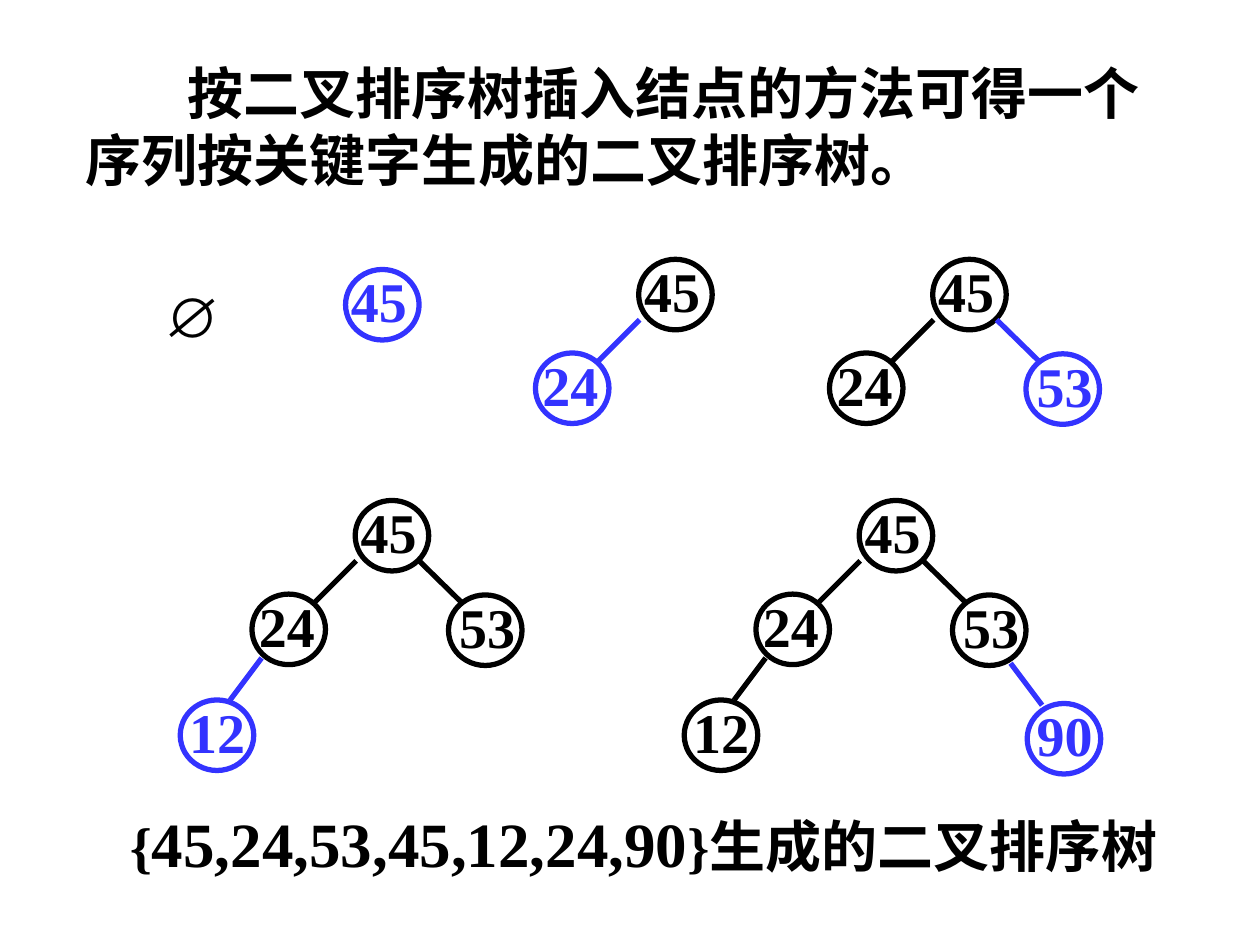
from dataclasses import dataclass

from lxml.etree import SubElement
from pptx import Presentation
from pptx.dml.color import RGBColor
from pptx.enum.shapes import MSO_CONNECTOR as Connector, MSO_SHAPE as Shape
from pptx.enum.text import MSO_AUTO_SIZE as AutoSize, PP_ALIGN as Align
from pptx.oxml.ns import qn
from pptx.util import Pt


@dataclass(frozen=True)
class Theme:
    ink: RGBColor = RGBColor(0x00, 0x00, 0x00)
    added: RGBColor = RGBColor(0x33, 0x33, 0xFF)
    font: str = "Times New Roman"
    symbol_font: str = "Arial"
    body: int = 32
    sequence: int = 36
    stroke: int = 3


THEME = Theme()

INTRO = "按二叉排序树插入结点的方法可得一个序列按关键字生成的二叉排序树。"
CAPTION = [
    ("{", THEME.body),
    ("45,24,53,45,12,24,90", THEME.sequence),
    ("}生成的二叉排序树", THEME.body),
]

NODE_WIDTH, NODE_HEIGHT = 42, 40.3
LABEL_RISE, LABEL_HEIGHT = 5, 46
NODES = {
    "45": {"offset": (0, 0), "label": (-5, 48.2)},
    "24": {"offset": (-59, 53.5), "label": (-7, 54), "edge": (0.5, 34.5, -23.5, 58.5)},
    "53": {"offset": (53.3, 54), "label": (-2, 48.2), "edge": (36.5, 34.5, 61, 58.5)},
    "12": {"offset": (-100, 114), "label": (-6, 54), "edge": (-53.5, 90, -71.5, 114)},
    "90": {"offset": (96, 116), "label": (-8.5, 59.8), "edge": (86.5, 93, 104.5, 117)},
}
INSERTED = list(NODES)
TREE_ROOTS = [(197.5, 154), (365, 148.2), (533, 148.2), (203, 286), (491, 286)]


def add_text(page, frame, spans, color=THEME.ink, font=THEME.font,
             align=Align.CENTER, wrap=True, indent=0):
    box = page.shapes.add_textbox(*map(Pt, frame))
    box.text_frame.word_wrap = wrap
    box.text_frame.auto_size = AutoSize.SHAPE_TO_FIT_TEXT
    para = box.text_frame.paragraphs[0]
    para.alignment = align
    if indent:
        para._p.get_or_add_pPr().set("indent", str(Pt(indent)))
    para.font.name = font
    para.font.bold = True
    para.font.color.rgb = color
    sizes = {size for _, size in spans}
    if len(sizes) == 1:
        para.font.size = Pt(sizes.pop())
    for text, size in spans:
        span = para.add_run()
        span.text = text
        if len(spans) > 1:
            span.font.size = Pt(size)


def style_line(line, color):
    line.color.rgb = color
    line.width = Pt(THEME.stroke)


def add_edge(page, root, edge, color):
    left, top = root
    x1, y1, x2, y2 = edge
    line = page.shapes.add_connector(
        Connector.STRAIGHT, Pt(left + x1), Pt(top + y1), Pt(left + x2), Pt(top + y2))
    style_line(line.line, color)
    SubElement(line._element.spPr, qn("a:effectLst"))


def add_node(page, root, key, color):
    node = NODES[key]
    left, top = (start + step for start, step in zip(root, node["offset"]))
    shift, width = node["label"]
    add_text(page, (left + shift, top - LABEL_RISE, width, LABEL_HEIGHT),
             [(key, THEME.body)], color)
    circle = page.shapes.add_shape(
        Shape.OVAL, Pt(left), Pt(top), Pt(NODE_WIDTH), Pt(NODE_HEIGHT))
    circle.shadow.inherit = False
    circle.fill.background()
    style_line(circle.line, color)
    if "edge" in node:
        add_edge(page, root, node["edge"], color)


def main():
    deck = Presentation()
    deck.slide_width, deck.slide_height = Pt(720), Pt(540)
    page = deck.slides.add_slide(deck.slide_layouts[6])

    add_text(page, (42, 30, 642, 84), [(INTRO, THEME.body)], align=Align.LEFT, indent=58)
    add_text(page, (87, 157.5, 39.6, 46), [("∅", THEME.body)],
             font=THEME.symbol_font, wrap=False)
    for count, root in enumerate(TREE_ROOTS, start=1):
        for key in INSERTED[:count]:
            newest = key == INSERTED[count - 1]
            add_node(page, root, key, THEME.added if newest else THEME.ink)
    add_text(page, (63.5, 456, 609, 50), CAPTION, wrap=False)

    deck.save("out.pptx")


if __name__ == "__main__":
    main()
